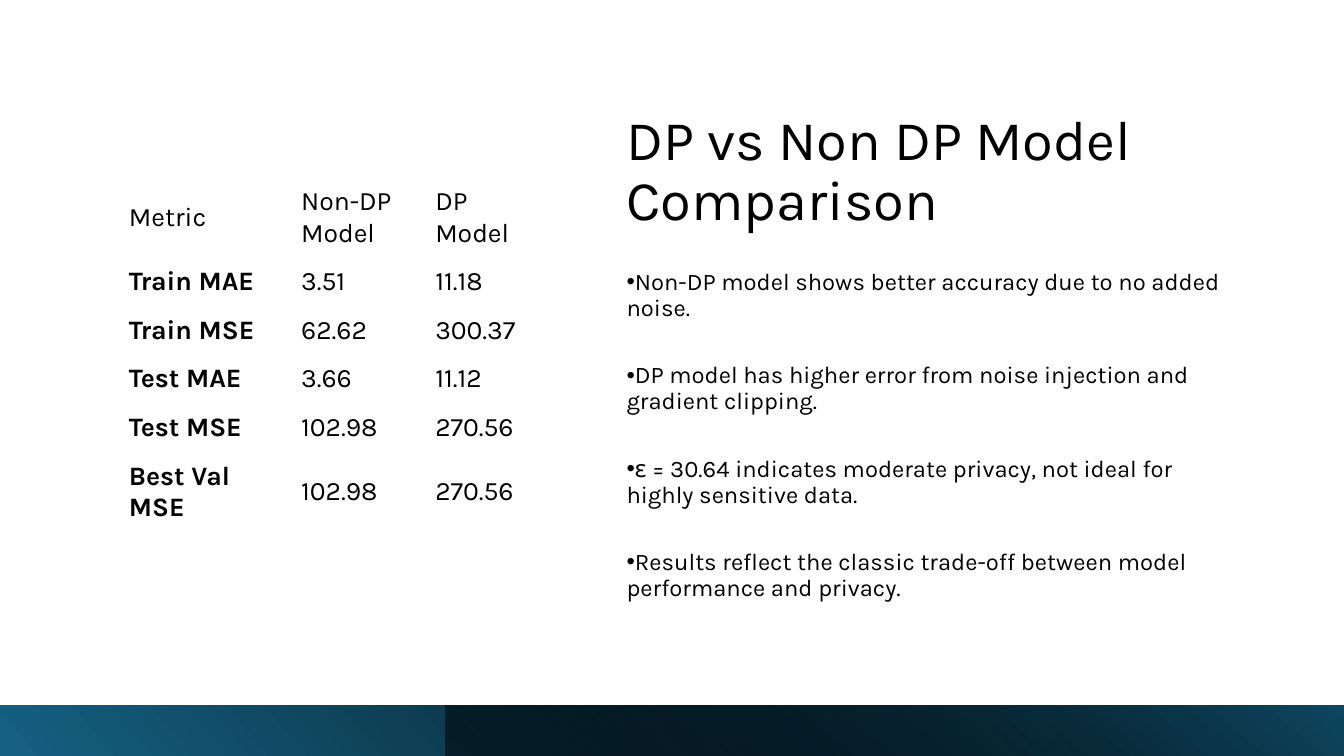
from dataclasses import dataclass

from lxml.etree import SubElement
from pptx import Presentation
from pptx.dml.color import RGBColor as Rgb
from pptx.enum.shapes import MSO_SHAPE as Kind
from pptx.enum.text import MSO_ANCHOR as Anchor, MSO_AUTO_SIZE as Auto, PP_ALIGN as Align
from pptx.oxml.ns import qn
from pptx.slide import Slide
from pptx.text.text import TextFrame, _Paragraph as Para
from pptx.util import Cm, Pt

FONT = "Karla"
HEX = {"text": "000000", "blue": "156082", "black": "000000", "navy": "104862"}
WIDE, HIGH = 33.87, 19.05
LEFT, SPAN = 15.54, 15.98
COLS = [4.34, 3.38, 3.05]
ROWS = [2.03, 1.22, 1.22, 1.22, 1.22, 2.03]
DATA = [
    ["Metric", "Non-DP Model", "DP Model"],
    ["Train MAE", "3.51", "11.18"],
    ["Train MSE", "62.62", "300.37"],
    ["Test MAE", "3.66", "11.12"],
    ["Test MSE", "102.98", "270.56"],
    ["Best Val MSE", "102.98", "270.56"],
]
POINTS = [
    "Non-DP model shows better accuracy due to no added noise.",
    "DP model has higher error from noise injection and gradient clipping.",
    "ε = 30.64 indicates moderate privacy, not ideal for highly sensitive data.",
    "Results reflect the classic trade-off between model performance and privacy.",
]


@dataclass
class Stop:
    hue: str
    pos: float
    alpha: int = 100


@dataclass
class Bar:
    left: float
    width: float
    angle: int
    turn: int
    stops: tuple[Stop, Stop]


BARS = [
    Bar(0, WIDE, 40, 180, (Stop("blue", 0), Stop("black", 0.9))),
    Bar(11.23, WIDE - 11.23, 230, 0, (Stop("black", 0, 50), Stop("navy", 1))),
]


def add_run(para: Para, text: str, size: float, bold: bool = False) -> None:
    run = para.add_run()
    run.text = text
    run.font.name = FONT
    run.font.size = Pt(size)
    run.font.bold = bold
    run.font.color.rgb = Rgb.from_string(HEX["text"])


def set_para(para: Para, after: float) -> None:
    para.alignment = Align.LEFT
    para.line_spacing = 0.9
    para.space_before = Pt(0)
    para.space_after = Pt(after)


def set_frame(frame: TextFrame, anchor: Anchor) -> None:
    frame.word_wrap = True
    frame.auto_size = Auto.NONE
    frame.vertical_anchor = anchor


def add_title(slide: Slide) -> None:
    title = slide.shapes.title
    title.left, title.top = Cm(LEFT), Cm(1.37)
    title.width, title.height = Cm(SPAN), Cm(4.62)
    set_frame(title.text_frame, Anchor.BOTTOM)
    para = title.text_frame.paragraphs[0]
    set_para(para, 6)
    add_run(para, "DP vs Non DP Model Comparison", 40)


def add_points(slide: Slide) -> None:
    box = slide.shapes.add_textbox(Cm(LEFT), Cm(6.68), Cm(SPAN), Cm(8.89))
    frame = box.text_frame
    set_frame(frame, Anchor.TOP)
    for num, text in enumerate(POINTS):
        para = frame.add_paragraph() if num else frame.paragraphs[0]
        set_para(para, 30)
        props = para._p.get_or_add_pPr()
        props.set("marL", "0")
        props.set("indent", str(-Cm(0.64)))
        SubElement(props, qn("a:buFont")).set("typeface", "Arial")
        SubElement(props, qn("a:buChar")).set("char", "•")
        add_run(para, text, 17)


def add_bar(slide: Slide, bar: Bar) -> None:
    shape = slide.shapes.add_shape(
        Kind.RECTANGLE, Cm(bar.left), Cm(17.78), Cm(bar.width), Cm(1.27))
    shape.shadow.inherit = False
    shape.line.fill.background()
    shape.rotation = bar.turn
    shape._element.spPr.find(qn("a:xfrm")).set("flipH", "1")
    shape.fill.gradient()
    shape.fill.gradient_angle = 360 - bar.angle
    for stop, item in zip(shape.fill.gradient_stops, bar.stops):
        stop.position = item.pos
        stop.color.rgb = Rgb.from_string(HEX[item.hue])
    if bar.stops[0].alpha < 100:
        hue = next(shape._element.spPr.iter(qn("a:srgbClr")))
        SubElement(hue, qn("a:alpha")).set("val", str(bar.stops[0].alpha * 1000))


def add_grid(slide: Slide) -> None:
    table = slide.shapes.add_table(
        len(ROWS), len(COLS), Cm(2.97), Cm(4.47), Cm(sum(COLS)), Cm(sum(ROWS))).table
    table.first_row = table.horz_banding = False
    for col, width in zip(table.columns, COLS):
        col.width = Cm(width)
    for row, high, texts in zip(table.rows, ROWS, DATA):
        row.height = Cm(high)
        for num, (cell, text) in enumerate(zip(row.cells, texts)):
            cell.fill.background()
            cell.vertical_anchor = Anchor.MIDDLE
            cell.margin_left = cell.margin_right = Cm(0.28)
            cell.margin_top = cell.margin_bottom = Cm(0.13)
            add_run(cell.text_frame.paragraphs[0], text, 19,
                    num == 0 and texts is not DATA[0])


def main() -> None:
    deck = Presentation()
    deck.slide_width, deck.slide_height = Cm(WIDE), Cm(HIGH)
    slide = deck.slides.add_slide(deck.slide_layouts[5])
    add_title(slide)
    add_points(slide)
    for bar in BARS:
        add_bar(slide, bar)
    add_grid(slide)
    deck.save("out.pptx")


if __name__ == "__main__":
    main()
